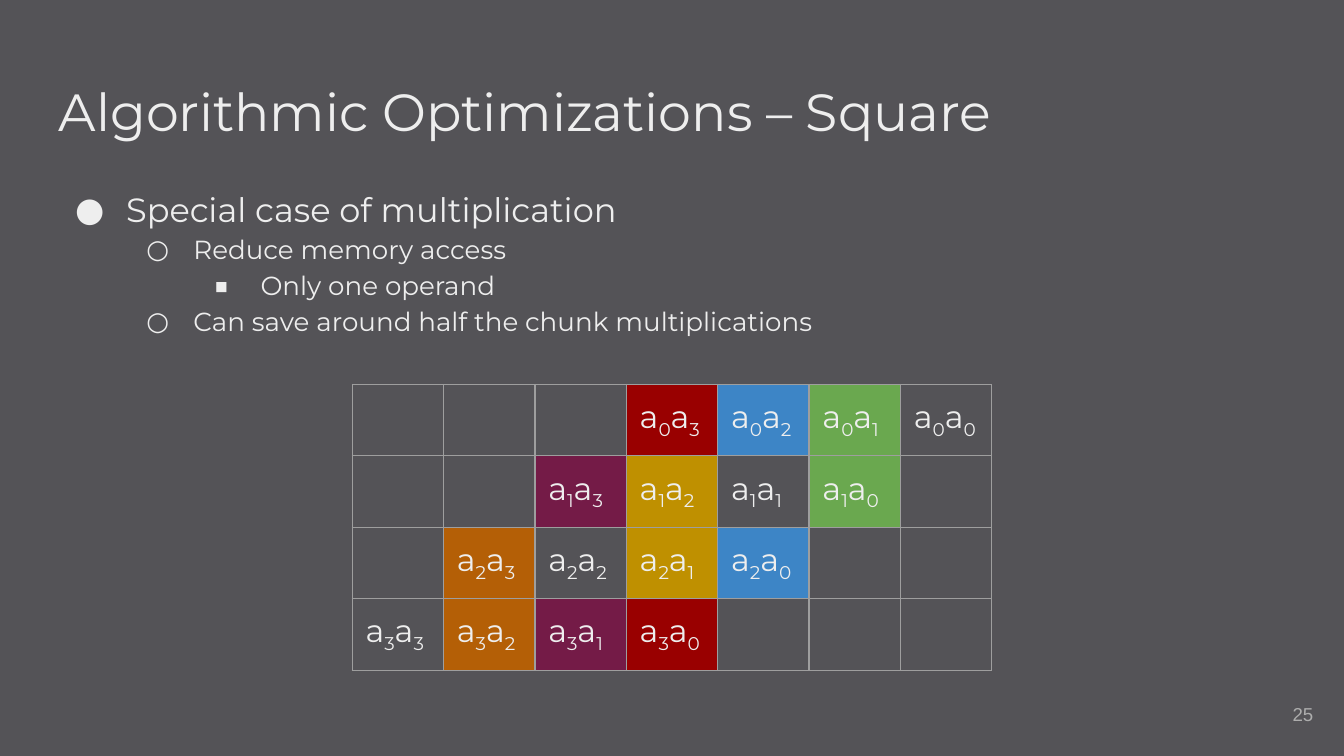
from lxml.etree import SubElement
from pptx import Presentation
from pptx.dml.color import RGBColor
from pptx.enum.text import MSO_ANCHOR, PP_ALIGN
from pptx.oxml.ns import qn
from pptx.util import Inches, Pt

BACKGROUND = RGBColor(0x54, 0x53, 0x57)
LIGHT = RGBColor(0xEE, 0xEE, 0xEE)
GRAY = RGBColor(0xAD, 0xAD, 0xAD)
BORDER = RGBColor(0x9E, 0x9E, 0x9E)
# Symmetric products share a color
PAIR_COLORS = {
    (0, 1): RGBColor(0x6A, 0xA8, 0x4F),
    (0, 2): RGBColor(0x3D, 0x85, 0xC6),
    (0, 3): RGBColor(0x99, 0x00, 0x00),
    (1, 2): RGBColor(0xBF, 0x90, 0x00),
    (1, 3): RGBColor(0x74, 0x1B, 0x47),
    (2, 3): RGBColor(0xB4, 0x5F, 0x06),
}
CHUNKS = 4
COLUMNS = 2 * CHUNKS - 1
INSET = Inches(0.1)

prs = Presentation()
prs.slide_width, prs.slide_height = Inches(10), Inches(5.625)
W, H = prs.slide_width / 100, prs.slide_height / 100  # one percent of each side
s = prs.slides.add_slide(prs.slide_layouts[6])
s.background.fill.solid()
s.background.fill.fore_color.rgb = BACKGROUND


def add_text_frame(left, top, width, height):
    """Add a wrapping text box, placed in percent of the slide."""
    tf = s.shapes.add_textbox(int(left * W), int(top * H),
                              int(width * W), int(height * H)).text_frame
    tf.word_wrap = True
    tf.margin_left = tf.margin_right = tf.margin_top = tf.margin_bottom = INSET
    return tf


def style(font, size, color=LIGHT, name="Montserrat"):
    font.size, font.name = Pt(size), name
    font.color.rgb = color


# Title
tf = add_text_frame(3.4, 8.7, 93.2, 11.2)
tf.text = "Algorithmic Optimizations – Square"
style(tf.paragraphs[0].runs[0].font, 28)

# Bullets: symbol, hanging indent and size by level
LEVELS = [("●", 0.38, 18), ("○", 0.35, 14), ("■", 0.35, 14)]
BULLETS = [
    (0, "Special case of multiplication"),
    (1, "Reduce memory access"),
    (2, "Only one operand"),
    (1, "Can save around half the chunk multiplications"),
]
tf = add_text_frame(3.4, 22.4, 93.2, 66.5)
tf.text = "\n".join(text for _, text in BULLETS)
for p, (level, _) in zip(tf.paragraphs, BULLETS):
    symbol, hanging, size = LEVELS[level]
    p.level = level
    p.line_spacing = 1.15
    pPr = p._p.get_or_add_pPr()
    pPr.set("marL", str(Inches(0.5 * (level + 1))))
    pPr.set("indent", str(-Inches(hanging)))
    SubElement(SubElement(pPr, qn("a:buClr")), qn("a:srgbClr"), val=str(LIGHT))
    SubElement(pPr, qn("a:buFont"), typeface="Montserrat")
    SubElement(pPr, qn("a:buChar"), char=symbol)
    style(p.runs[0].font, size)

# Partial products: a_i times a_j stands in the column of weight i + j
table = s.shapes.add_table(CHUNKS, COLUMNS, int(26.2 * W), int(50.85 * H),
                           int(6.8 * COLUMNS * W), int(9.46 * CHUNKS * H)).table
table.first_row = table.horz_banding = False
for i in range(CHUNKS):
    for column in range(COLUMNS):
        j = COLUMNS - 1 - column - i
        cell = table.cell(i, column)
        cell.margin_left = cell.margin_right = INSET
        cell.margin_top = cell.margin_bottom = INSET
        tcPr = cell._tc.get_or_add_tcPr()
        for side in ("lnL", "lnR", "lnT", "lnB"):
            line = SubElement(tcPr, qn(f"a:{side}"), w=str(Pt(0.75)))
            SubElement(SubElement(line, qn("a:solidFill")),
                       qn("a:srgbClr"), val=str(BORDER))
        color = PAIR_COLORS.get((min(i, j), max(i, j)))
        if color:
            cell.fill.solid()
            cell.fill.fore_color.rgb = color
        else:
            cell.fill.background()
        if 0 <= j < CHUNKS:
            p = cell.text_frame.paragraphs[0]
            for text in ("a", str(i), "a", str(j)):
                r = p.add_run()
                r.text = text
                style(r.font, 17)
                if text.isdigit():
                    r._r.get_or_add_rPr().set("baseline", "-25000")

# Slide number
tf = add_text_frame(92.7, 90.7, 6, 7.6)
tf.vertical_anchor = MSO_ANCHOR.MIDDLE
tf.text = "25"
tf.paragraphs[0].alignment = PP_ALIGN.RIGHT
style(tf.paragraphs[0].runs[0].font, 10, GRAY, "Arial")

prs.save("out.pptx")
